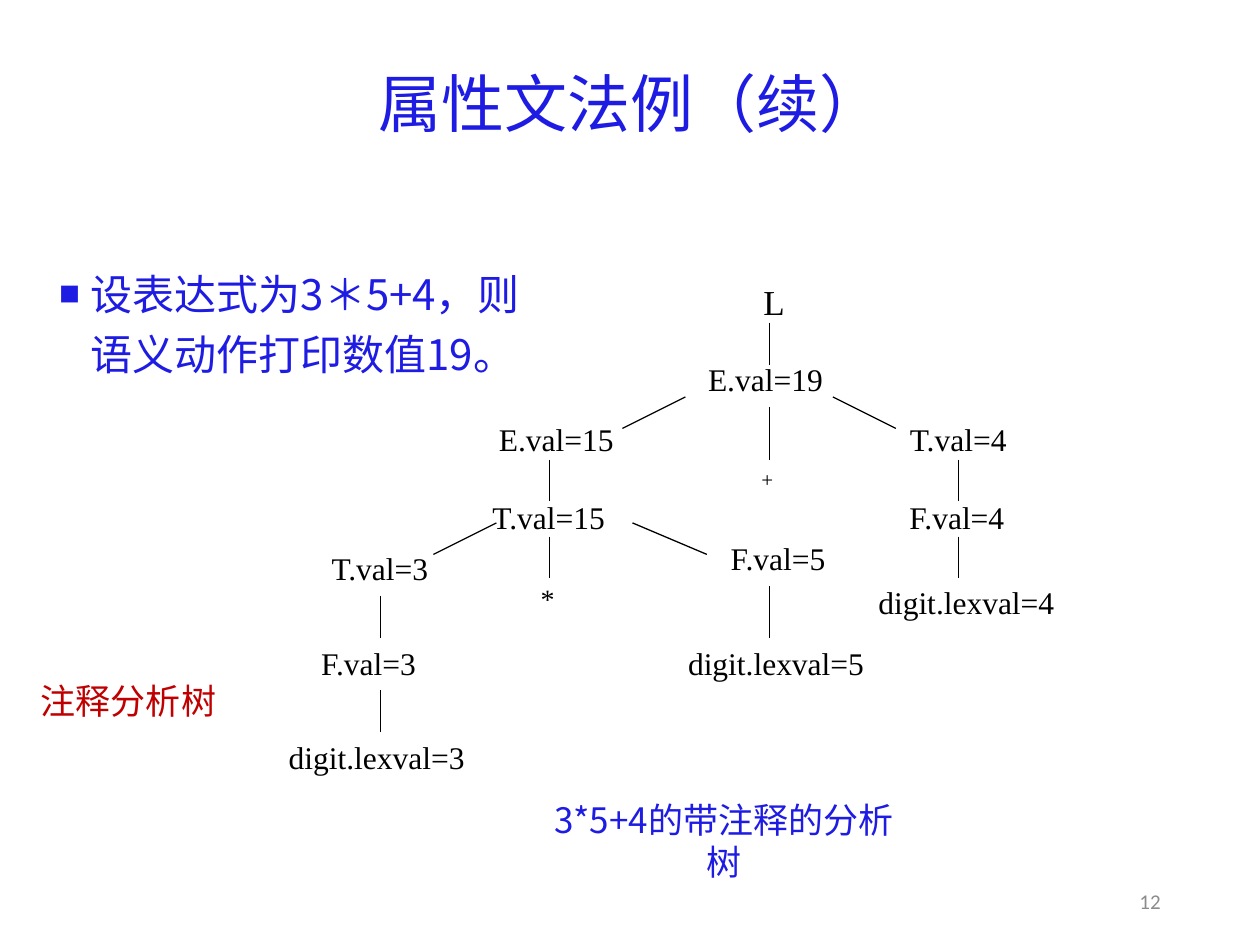
from lxml import etree
from pptx import Presentation
from pptx.dml.color import RGBColor
from pptx.enum import shapes, text
from pptx.oxml import ns
from pptx.util import Inches, Pt

BLUE = RGBColor(0x1E, 0x1C, 0xE3)
RED = RGBColor(0xC0, 0x00, 0x00)
GRAY = RGBColor(0x8C, 0x8C, 0x8C)
BLACK = RGBColor(0, 0, 0)
SERIF = "Times New Roman"
CJK = "Noto Sans CJK SC"
TITLE_FONT = "Noto Sans CJK JP"
CENTER = text.PP_ALIGN.CENTER

LABEL_HEIGHTS = {20: 0.43, 18: 0.4, 16: 0.37, 12: 0.3}
NODES = [
    ("L", 3.96, 0.18, 0.37, 20),
    ("E.val=19", 3.52, 0.81, 1.11, 18),
    ("E.val=15", 1.86, 1.28, 1.11, 18),
    ("+", 3.94, 1.65, 0.3, 12),
    ("T.val=4", 5.11, 1.28, 0.99, 18),
    ("T.val=15", 1.8, 1.9, 1.11, 18),
    ("F.val=4", 5.11, 1.9, 0.97, 18),
    ("T.val=3", 0.52, 2.31, 0.99, 18),
    ("*", 2.19, 2.56, 0.31, 16),
    ("F.val=5", 3.69, 2.23, 0.97, 18),
    ("digit.lexval=4", 4.87, 2.58, 1.6, 18),
    ("F.val=3", 0.44, 3.06, 0.97, 18),
    ("digit.lexval=5", 3.36, 3.06, 1.6, 18),
    ("digit.lexval=3", 0.19, 3.81, 1.6, 18),
]
STEMS = {
    1.02: [(2.73, 3.06), (3.48, 3.81)],
    2.36: [(1.65, 1.98), (2.26, 2.59)],
    4.11: [(0.56, 0.9), (1.23, 1.65), (2.65, 3.06)],
    5.61: [(1.65, 1.98), (2.26, 2.59)],
}
BRANCHES = [
    (3.44, 1.15, 2.94, 1.4),
    (4.61, 1.15, 5.11, 1.4),
    (1.94, 2.15, 1.44, 2.4),
    (3.02, 2.15, 3.61, 2.4),
]


def place(shape, left, top, width, height):
    """Move and size a shape, in inches."""
    shape.left, shape.top = Inches(left), Inches(top)
    shape.width, shape.height = Inches(width), Inches(height)


def format_text(para, font, size, color):
    """Set the font of every run for Latin and East Asian letters."""
    for span in para.runs:
        span.font.size = Pt(size)
        span.font.color.rgb = color
        span.font.name = font
        east = etree.SubElement(span.font._element, ns.qn("a:ea"))
        east.set("typeface", font)


def add_label(parent, wording, left, top, width, height, size, font=SERIF,
              color=BLACK, align=CENTER, wrap=False):
    """Add a one-paragraph text box, centred vertically."""
    box = parent.add_textbox(Inches(left), Inches(top), Inches(width), Inches(height))
    frame = box.text_frame
    frame.text = wording
    frame.word_wrap = wrap
    frame.vertical_anchor = text.MSO_ANCHOR.MIDDLE
    para = frame.paragraphs[0]
    para.alignment = align
    format_text(para, font, size, color)


def add_edge(parent, x1, y1, x2, y2):
    """Add a thin black tree edge."""
    edge = parent.add_connector(shapes.MSO_CONNECTOR.STRAIGHT, Inches(x1), Inches(y1),
                                Inches(x2), Inches(y2))
    edge.line.color.rgb = BLACK
    edge.line.width = Pt(0.75)
    etree.SubElement(edge._element.spPr, ns.qn("a:effectLst"))


def fill_title(title, left, top, width, height):
    """Place and format the slide title."""
    place(title, left, top, width, height)
    title.text_frame.text = "属性文法例（续）"
    title.text_frame.vertical_anchor = text.MSO_ANCHOR.MIDDLE
    para = title.text_frame.paragraphs[0]
    para.alignment = CENTER
    para.line_spacing = 0.9
    format_text(para, TITLE_FONT, 36, BLUE)


def fill_body(body, left, top, width, height):
    """Place the bulleted statement."""
    place(body, left, top, width, height)
    body.text_frame.text = "设表达式为3＊5+4，则语义动作打印数值19。"
    para = body.text_frame.paragraphs[0]
    para.line_spacing = 1.2
    para.space_before, para.space_after = Pt(0), Pt(6)
    props = para._element.get_or_add_pPr()
    props.set("marL", str(Inches(0.25)))
    props.set("indent", str(-Inches(0.25)))
    etree.SubElement(props, ns.qn("a:buSzPct")).set("val", "50000")
    etree.SubElement(props, ns.qn("a:buFont")).set("typeface", CJK)
    etree.SubElement(props, ns.qn("a:buChar")).set("char", "■")
    format_text(para, CJK, 24, BLUE)


def add_parse_tree(page, left, top):
    """Draw the annotated parse tree and its caption as one group."""
    group = page.shapes.add_group_shape().shapes
    for x, spans in STEMS.items():
        for start, end in spans:
            add_edge(group, left + x, top + start, left + x, top + end)
    for x1, y1, x2, y2 in BRANCHES:
        add_edge(group, left + x1, top + y1, left + x2, top + y2)
    for wording, x, y, width, size in NODES:
        add_label(group, wording, left + x, top + y, width, LABEL_HEIGHTS[size], size)
    add_label(group, "3*5+4的带注释的分析树", left + 2.17, top + 4.46, 3.15, 0.43, 20,
              CJK, BLUE, wrap=True)


def main():
    """Build the slide and save it."""
    deck = Presentation()
    deck.slide_width, deck.slide_height = Inches(10), Inches(7.5)
    page = deck.slides.add_slide(deck.slide_layouts[1])
    fill_title(page.shapes.title, 0.69, 0.4, 8.62, 0.9)
    fill_body(page.placeholders[1], 0.37, 2, 4, 1.07)
    add_label(page.shapes, "12", 7.06, 6.95, 2.25, 0.4, 12, "Calibri", GRAY,
              text.PP_ALIGN.RIGHT, wrap=True)
    add_parse_tree(page, 2, 2)
    add_label(page.shapes, "注释分析树", 0.22, 5.34, 1.6, 0.44, 20, CJK, RED)
    deck.save("out.pptx")


if __name__ == "__main__":
    main()
